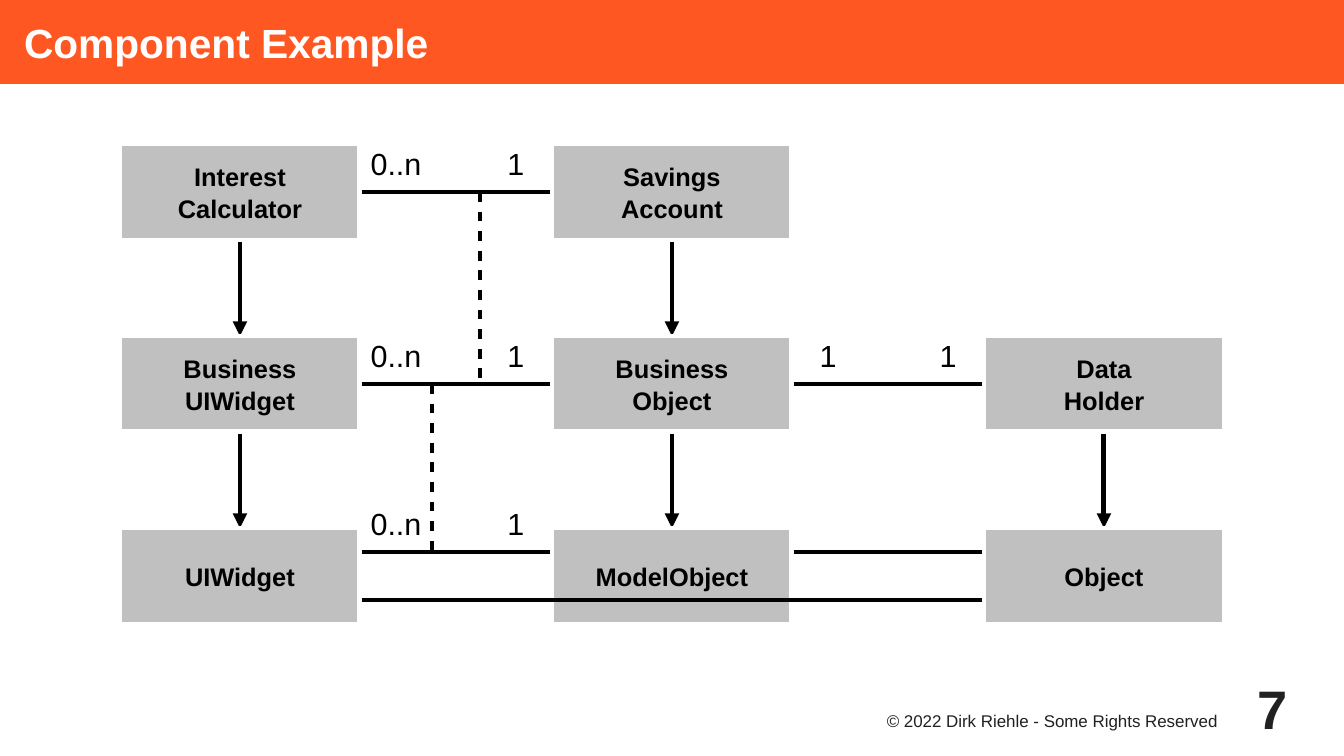
from dataclasses import dataclass

from lxml import etree
from pptx import Presentation
from pptx.dml.color import RGBColor
from pptx.enum.shapes import MSO_CONNECTOR, MSO_SHAPE
from pptx.enum.text import MSO_ANCHOR, PP_ALIGN
from pptx.oxml.ns import qn
from pptx.util import Emu, Pt

STRAIGHT = MSO_CONNECTOR.STRAIGHT
RECT = MSO_SHAPE.RECTANGLE
TOP, MIDDLE, BOTTOM = MSO_ANCHOR.TOP, MSO_ANCHOR.MIDDLE, MSO_ANCHOR.BOTTOM
LEFT, CENTER = PP_ALIGN.LEFT, PP_ALIGN.CENTER

EMU_PER_PX = 914400 / 122
SLIDE_W, SLIDE_H = 1344, 756
BOX_W, BOX_H = 240, 96
COL_X = [120 + 432 * i for i in range(3)]
ROW_Y = [144 + 192 * i for i in range(3)]
LABEL_W, LABEL_H = 72, 57
LABEL_STEP = 120
TUCK = 48
PAD = 10


@dataclass(frozen=True)
class Theme:
    font: str = "Arial"
    bar: str = "FF5722"
    white: str = "FFFFFF"
    box: str = "C0C0C0"
    ink: str = "000000"
    footer: str = "212121"
    title_pt: int = 24
    label_pt: int = 18
    box_pt: int = 15
    footer_pt: int = 10
    number_pt: int = 32
    line_pt: float = 2.89


@dataclass(frozen=True)
class Component:
    col: int
    row: int
    lines: tuple[str, ...]


@dataclass(frozen=True)
class Line:
    x1: int
    y1: int
    x2: int
    y2: int
    arrow: bool = False
    dashed: bool = False


@dataclass(frozen=True)
class Multiplicity:
    col: int
    line_y: int
    ends: tuple[str, str]


THEME = Theme()
COMPONENTS = [
    Component(0, 0, ("Interest", "Calculator")),
    Component(1, 0, ("Savings", "Account")),
    Component(0, 1, ("Business", "UIWidget")),
    Component(1, 1, ("Business", "Object")),
    Component(2, 1, ("Data", "Holder")),
    Component(0, 2, ("UIWidget",)),
    Component(1, 2, ("ModelObject",)),
    Component(2, 2, ("Object",)),
]
ASSOCIATIONS = [
    Line(312, 192, 552, 192),
    Line(312, 384, 552, 384),
    Line(792, 384, 1032, 384),
    Line(312, 552, 552, 552),
    Line(792, 552, 1032, 552, arrow=True),
    Line(480, 192, 480, 384, dashed=True),
    Line(432, 384, 432, 552, dashed=True),
]
INHERITANCE = [
    Line(COL_X[c.col] + BOX_W // 2, ROW_Y[c.row] + BOX_H,
         COL_X[c.col] + BOX_W // 2, ROW_Y[c.row + 1], arrow=True)
    for c in COMPONENTS if c.row < 2
]
SPANNING = Line(COL_X[0] + BOX_W - TUCK, 600, COL_X[2] + TUCK, 600, arrow=True)
MULTIPLICITIES = [
    Multiplicity(0, 192, ("0..n", "1")),
    Multiplicity(0, 384, ("0..n", "1")),
    Multiplicity(1, 384, ("1", "1")),
    Multiplicity(0, 552, ("0..n", "1")),
]


def px(n: int) -> Emu:
    return Emu(round(n * EMU_PER_PX))


def rgb(color: str) -> RGBColor:
    return RGBColor.from_string(color)


def write(sp, lines, size: int, color: str, bold: bool = False, align=CENTER,
          anchor=MIDDLE, insets=(0, 0, 0, 0), wrap: bool = False) -> None:
    tf = sp.text_frame
    tf.word_wrap = wrap
    tf.vertical_anchor = anchor
    tf.margin_left, tf.margin_top, tf.margin_right, tf.margin_bottom = map(px, insets)
    for i, text in enumerate(lines):
        p = tf.add_paragraph() if i else tf.paragraphs[0]
        p.alignment = align
        if i:
            p.space_before = Pt(1)
        r = p.add_run()
        r.text = text
        r.font.name = THEME.font
        r.font.size = Pt(size)
        r.font.bold = bold
        r.font.color.rgb = rgb(color)


def add_text(slide, x: int, y: int, w: int, h: int, text: str, size: int,
             color: str, **style) -> None:
    sp = slide.shapes.add_textbox(px(x), px(y), px(w), px(h))
    write(sp, (text,), size, color, **style)


def add_title(slide, text: str) -> None:
    sp = slide.shapes.title
    sp.left, sp.top, sp.width, sp.height = px(0), px(0), px(SLIDE_W), px(84)
    sp.fill.solid()
    sp.fill.fore_color.rgb = rgb(THEME.bar)
    write(sp, (text,), THEME.title_pt, THEME.white, bold=True, align=LEFT,
          insets=(24, 0, 0, 0), wrap=True)


def add_line(slide, line: Line) -> None:
    sp = slide.shapes.add_connector(STRAIGHT, px(line.x1), px(line.y1),
                                    px(line.x2), px(line.y2))
    sp.line.color.rgb = rgb(THEME.ink)
    sp.line.width = Pt(THEME.line_pt)
    ln = sp.line._get_or_add_ln()
    if line.dashed:
        dash = etree.SubElement(ln, qn("a:custDash"))
        etree.SubElement(dash, qn("a:ds"), d="200000", sp="200000")
    if line.arrow:
        etree.SubElement(ln, qn("a:tailEnd"), type="triangle")
    etree.SubElement(sp._element.spPr, qn("a:effectLst"))


def add_component(slide, c: Component) -> None:
    sp = slide.shapes.add_shape(RECT, px(COL_X[c.col]), px(ROW_Y[c.row]),
                                px(BOX_W), px(BOX_H))
    sp.shadow.inherit = False
    sp.fill.solid()
    sp.fill.fore_color.rgb = rgb(THEME.box)
    sp.line.color.rgb = rgb(THEME.white)
    sp.line.width = Pt(THEME.line_pt)
    write(sp, c.lines, THEME.box_pt, THEME.ink, bold=True, insets=(PAD,) * 4)


def add_multiplicity(slide, m: Multiplicity) -> None:
    for i, text in enumerate(m.ends):
        x = COL_X[m.col] + BOX_W + LABEL_STEP * i
        add_text(slide, x, m.line_y - LABEL_H, LABEL_W, LABEL_H, text,
                 THEME.label_pt, THEME.ink, anchor=BOTTOM, insets=(PAD,) * 4)


def main() -> None:
    prs = Presentation()
    prs.slide_width, prs.slide_height = px(SLIDE_W), px(SLIDE_H)
    slide = prs.slides.add_slide(prs.slide_layouts[5])
    add_title(slide, "Component Example")
    for line in ASSOCIATIONS + INHERITANCE:
        add_line(slide, line)
    for m in MULTIPLICITIES:
        add_multiplicity(slide, m)
    for c in COMPONENTS:
        if c.col == 1:
            add_component(slide, c)
    add_line(slide, SPANNING)
    for c in COMPONENTS:
        if c.col != 1:
            add_component(slide, c)
    add_text(slide, 865, 709, 384, 36, "© 2022 Dirk Riehle - Some Rights Reserved",
             THEME.footer_pt, THEME.footer, anchor=TOP, insets=(0, 2, PAD, 0))
    add_text(slide, 1225, 672, 96, 72, "7", THEME.number_pt, THEME.footer, bold=True)
    prs.save("out.pptx")


if __name__ == "__main__":
    main()
